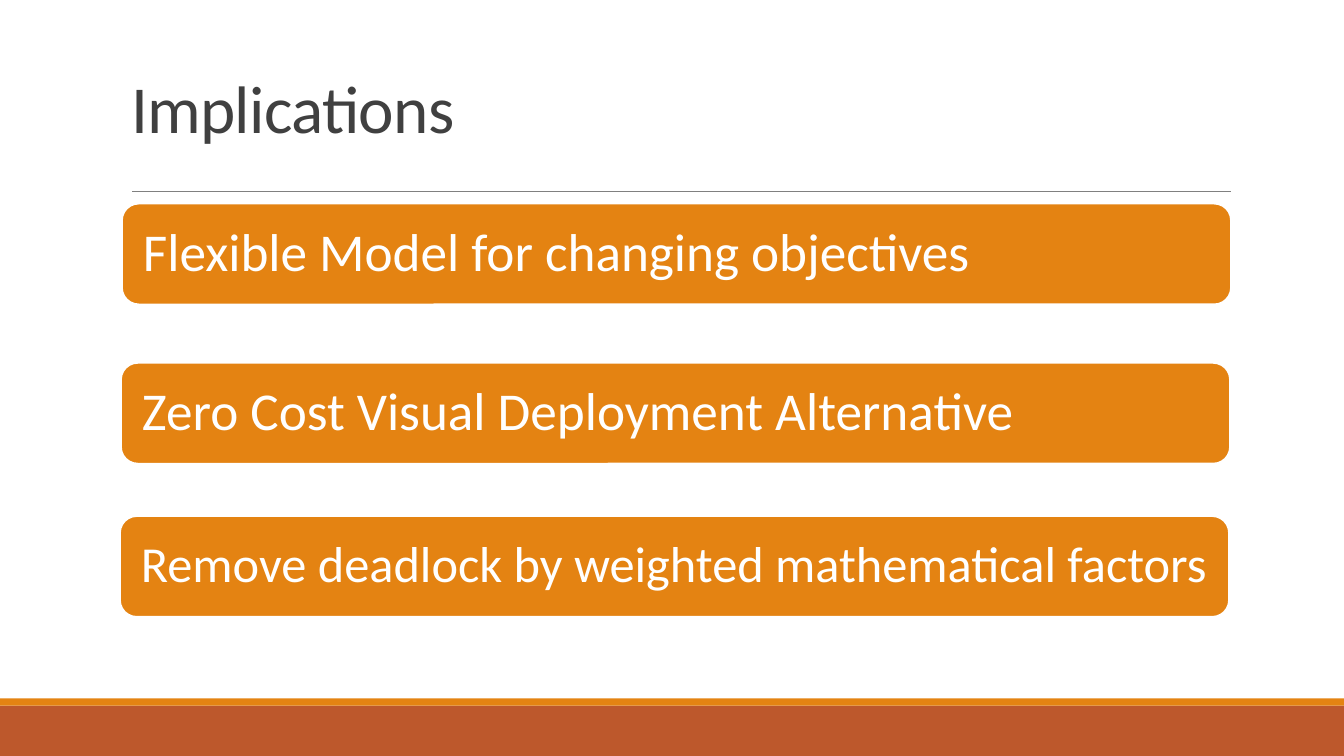
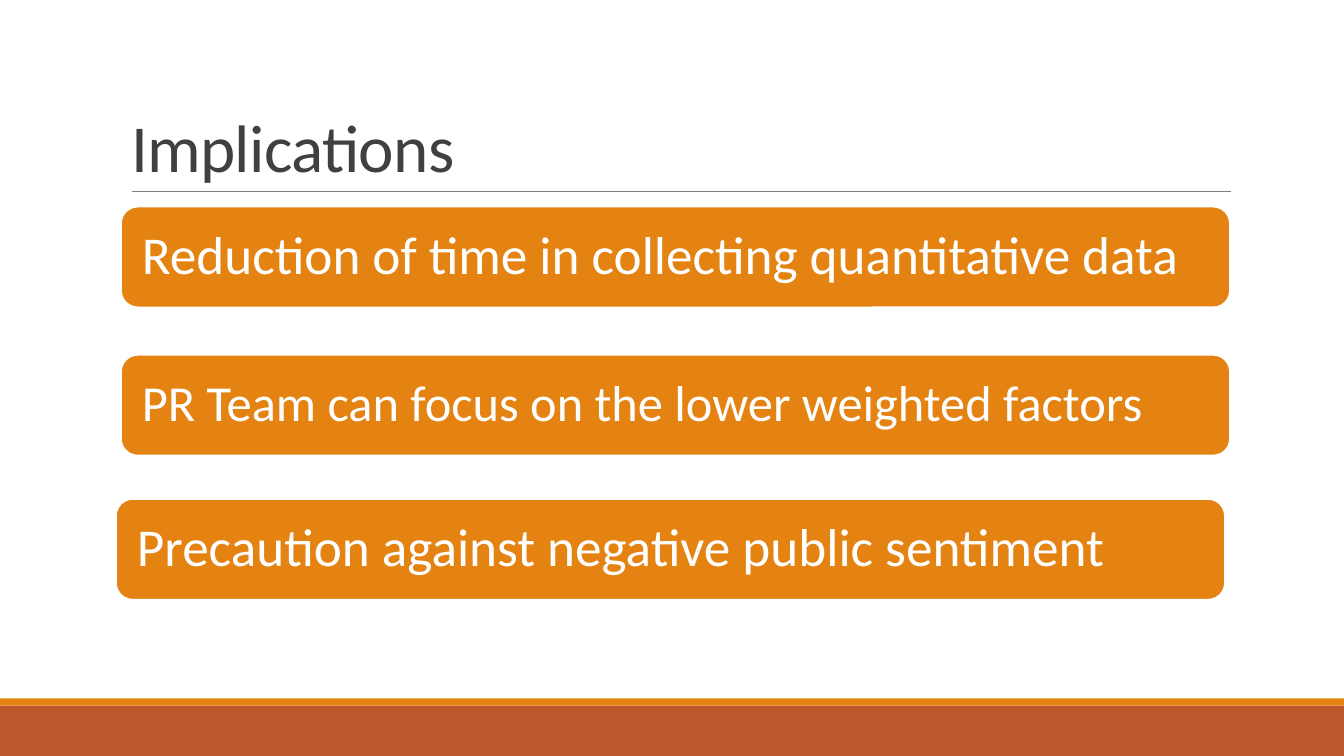
"""Build two slides of implications, each a title over three rounded bars."""
from lxml import etree
from pptx import Presentation
from pptx import util as u
from pptx.dml.color import RGBColor
from pptx.enum import shapes, text
from pptx.oxml import ns

COLORS = {"bar": "E48312", "band": "BD582C", "rule": "808080",
          "title": "404040", "white": "FFFFFF"}
FONT = "Calibri"
WIDTH, HEIGHT = 13.33, 7.5
BAR_WIDTH, BAR_HEIGHT = 11, 1

SLIDES = [
    ("Implications", -0.08, [
        ("Flexible Model for changing objectives", 1.21, 2.02, 38),
        ("Zero Cost Visual Deployment Alternative", 1.2, 3.6, 38),
        ("Remove deadlock by weighted mathematical factors", 1.19, 5.12, 36),
    ]),
    ("Implications", 0.31, [
        ("Reduction of time in collecting quantitative data", 1.2, 2.05, 38),
        ("PR Team can focus on the lower weighted factors", 1.2, 3.52, 36),
        ("Precaution against negative public sentiment", 1.15, 4.95, 38),
    ]),
]


def write(tf, words, size, color, anchor, inset, spacing, tracking=0):
    tf.word_wrap = True
    tf.auto_size = text.MSO_AUTO_SIZE.NONE
    tf.vertical_anchor = anchor
    tf.margin_left = tf.margin_right = u.Inches(inset)
    tf.margin_top = tf.margin_bottom = u.Inches(0.05)
    p = tf.paragraphs[0]
    p.alignment = text.PP_ALIGN.LEFT
    p.line_spacing = spacing
    r = p.add_run()
    r.text = words
    r.font.name = FONT
    r.font.size = u.Pt(size)
    r.font.color.rgb = rgb(color)
    if tracking:
        r.font._element.set("spc", str(int(tracking * 100)))


def rgb(name):
    return RGBColor.from_string(COLORS[name])


def add_box(s, kind, left, top, width, height, fill, line=None):
    sp = s.shapes.add_shape(kind, *map(u.Inches, (left, top, width, height)))
    sp.shadow.inherit = False
    sp.fill.solid()
    sp.fill.fore_color.rgb = rgb(fill)
    if line:
        sp.line.color.rgb = rgb(line)
        sp.line.width = u.Pt(1.25)
    else:
        sp.line.fill.background()
    return sp


def add_frame(s):
    rect = shapes.MSO_SHAPE.RECTANGLE
    add_box(s, rect, 0, 7, WIDTH, HEIGHT - 7, "band")
    add_box(s, rect, 0, 6.93, WIDTH, 0.07, "bar")
    rule = s.shapes.add_connector(shapes.MSO_CONNECTOR.STRAIGHT,
                                  *map(u.Inches, (1.31, 1.9, 12.21, 1.9)))
    rule.line.color.rgb = rgb("rule")
    rule.line.width = u.Pt(0.5)
    etree.SubElement(rule._element.spPr, ns.qn("a:effectLst"))


def add_title(s, words, top):
    sp = s.shapes.title
    sp.left, sp.top, sp.width, sp.height = map(u.Inches, (1.2, top, 11, 1.59))
    write(sp.text_frame, words, 48, "title", text.MSO_ANCHOR.BOTTOM,
          0.1, 0.85, tracking=-0.5)


def add_bar(s, words, left, top, size):
    sp = add_box(s, shapes.MSO_SHAPE.ROUNDED_RECTANGLE, left, top,
                 BAR_WIDTH, BAR_HEIGHT, "bar", "white")
    write(sp.text_frame, words, size, "white", text.MSO_ANCHOR.MIDDLE, 0.16, 0.9)


def add_slide(prs, title, title_top, bars):
    s = prs.slides.add_slide(prs.slide_layouts[5])
    add_frame(s)
    add_title(s, title, title_top)
    for bar in bars:
        add_bar(s, *bar)


def main():
    prs = Presentation()
    prs.slide_width, prs.slide_height = u.Inches(WIDTH), u.Inches(HEIGHT)
    for slide in SLIDES:
        add_slide(prs, *slide)
    prs.save("out.pptx")


if __name__ == "__main__":
    main()
